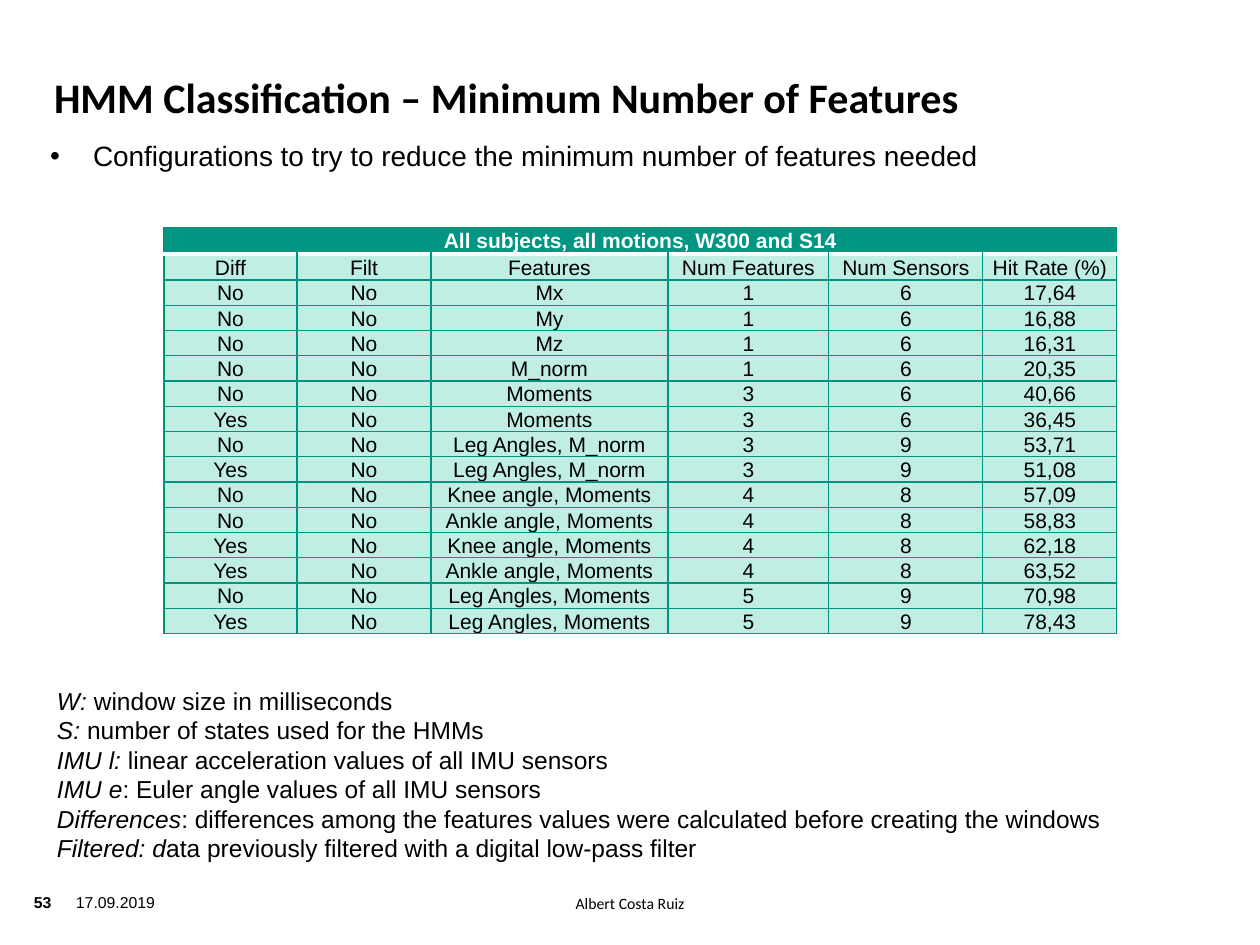
"""Build a slide with a table of HMM classification configurations."""
from lxml.etree import SubElement
from pptx import Presentation
from pptx.dml.color import RGBColor as RGB
from pptx.enum.text import MSO_ANCHOR as ANCHOR, PP_ALIGN as ALIGN
from pptx.oxml import parse_xml
from pptx.oxml.ns import nsdecls, qn
from pptx.util import Pt

PX = 914400 / 126
COLORS = {"text": "000000", "head": "009682", "body": "C0EEE3",
          "line": "00937F", "white": "FFFFFF"}

TITLE = "HMM Classification – Minimum Number of Features"
BULLET = "Configurations to try to reduce the minimum number of features needed"
NOTES = [
    ("W: ", "window size in milliseconds"),
    ("S:", " number of states used for the HMMs"),
    ("IMU l: ", "linear acceleration values of all IMU sensors"),
    ("IMU e", ": Euler angle values of all IMU sensors"),
    ("Differences", ": differences among the features values were calculated "
                    "before creating the windows"),
    ("Filtered: d", "ata previously filtered with a digital low-pass filter"),
]
HEADING = "All subjects, all motions, W300 and S14"
ROWS = [
    ("Diff", "Filt", "Features", "Num Features", "Num Sensors", "Hit Rate (%)"),
    ("No", "No", "Mx", "1", "6", "17,64"),
    ("No", "No", "My", "1", "6", "16,88"),
    ("No", "No", "Mz", "1", "6", "16,31"),
    ("No", "No", "M_norm", "1", "6", "20,35"),
    ("No", "No", "Moments", "3", "6", "40,66"),
    ("Yes", "No", "Moments", "3", "6", "36,45"),
    ("No", "No", "Leg Angles, M_norm", "3", "9", "53,71"),
    ("Yes", "No", "Leg Angles, M_norm", "3", "9", "51,08"),
    ("No", "No", "Knee angle, Moments", "4", "8", "57,09"),
    ("No", "No", "Ankle angle, Moments", "4", "8", "58,83"),
    ("Yes", "No", "Knee angle, Moments", "4", "8", "62,18"),
    ("Yes", "No", "Ankle angle, Moments", "4", "8", "63,52"),
    ("No", "No", "Leg Angles, Moments", "5", "9", "70,98"),
    ("Yes", "No", "Leg Angles, Moments", "5", "9", "78,43"),
]
COL_WIDTHS = [133, 134, 237, 161, 154, 134]
ROW_HEIGHTS = [26, 26] + [25] * (len(ROWS) - 1)
TABLE_AT = (164, 228)


def px(n):
    return round(n * PX)


def add_run(p, text, size, font="Arial", color="text", bold=False, italic=False):
    r = p.add_run()
    r.text = text
    f = r.font
    f.size, f.name, f.bold, f.italic = Pt(size), font, bold, italic
    f.color.rgb = RGB.from_string(COLORS[color])


def add_box(s, at, inset=(0, 0), anchor=ANCHOR.TOP):
    tf = s.shapes.add_textbox(*map(px, at)).text_frame
    tf.word_wrap = True
    tf.vertical_anchor = anchor
    tf.margin_left = tf.margin_right = px(inset[0])
    tf.margin_top = tf.margin_bottom = px(inset[1])
    return tf


def add_line(s, at, text, size, font="Arial", bold=False, **box):
    p = add_box(s, at, **box).paragraphs[0]
    add_run(p, text, size, font, bold=bold)
    return p


def set_borders(cell, top="line", bottom="line"):
    tcPr = cell._tc.get_or_add_tcPr()
    sides = [("lnL", "line"), ("lnR", "line"), ("lnT", top), ("lnB", bottom)]
    for i, (tag, color) in enumerate(sides):
        width = Pt(2 if color == "white" else 0.75)
        tcPr.insert(i, parse_xml(
            f'<a:{tag} {nsdecls("a")} w="{width}"><a:solidFill>'
            f'<a:srgbClr val="{COLORS[color]}"/></a:solidFill></a:{tag}>'))


def fill_cell(cell, text, fill="body", color="text", bold=False,
              anchor=ANCHOR.BOTTOM, **borders):
    cell.fill.solid()
    cell.fill.fore_color.rgb = RGB.from_string(COLORS[fill])
    cell.margin_left = cell.margin_right = px(1)
    cell.margin_top = cell.margin_bottom = 0
    cell.vertical_anchor = anchor
    set_borders(cell, **borders)
    p = cell.text_frame.paragraphs[0]
    p.alignment = ALIGN.CENTER
    if text:
        add_run(p, text, 12, color=color, bold=bold)


def add_results(s):
    size = (sum(COL_WIDTHS), sum(ROW_HEIGHTS))
    table = s.shapes.add_table(len(ROW_HEIGHTS), len(COL_WIDTHS),
                               *map(px, TABLE_AT + size)).table
    for col, width in zip(table.columns, COL_WIDTHS):
        col.width = px(width)
    for row, height in zip(table.rows, ROW_HEIGHTS):
        row.height = px(height)
    for c in range(len(COL_WIDTHS)):
        fill_cell(table.cell(0, c), "" if c else HEADING, "head", "white", True,
                  ANCHOR.MIDDLE, bottom="white")
    table.cell(0, 0).merge(table.cell(0, len(COL_WIDTHS) - 1))
    for i, values in enumerate(ROWS, 1):
        for c, value in enumerate(values):
            fill_cell(table.cell(i, c), value, top="white" if i == 1 else "line")


def main():
    prs = Presentation()
    prs.slide_width, prs.slide_height = px(1260), px(945)
    s = prs.slides.add_slide(prs.slide_layouts[6])

    p = add_line(s, (208, 890, 844, 49), "Albert Costa Ruiz", 9, "Calibri",
                 inset=(13, 6))
    p.alignment, p.line_spacing = ALIGN.CENTER, 0.9
    add_line(s, (76, 893, 118, 49), "17.09.2019", 9)
    p = add_line(s, (34, 893, 44, 29), "53", 9, bold=True)
    p.space_before = Pt(4.5)

    add_line(s, (54, 45, 953, 77), TITLE, 24, "Calibri", True, anchor=ANCHOR.BOTTOM)
    p = add_line(s, (50, 139, 1181, 178), BULLET, 16)
    p.space_before = Pt(4)
    pPr = p._p.get_or_add_pPr()
    pPr.set("marL", str(px(43)))
    pPr.set("indent", str(px(-43)))
    SubElement(pPr, qn("a:buFont"), typeface="Arial")
    SubElement(pPr, qn("a:buChar"), char="•")

    tf = add_box(s, (44, 680, 1091, 181), inset=(13, 6))
    for i, (term, meaning) in enumerate(NOTES):
        p = tf.add_paragraph() if i else tf.paragraphs[0]
        add_run(p, term, 14, italic=True)
        add_run(p, meaning, 14)

    add_results(s)
    prs.save("out.pptx")


if __name__ == "__main__":
    main()
